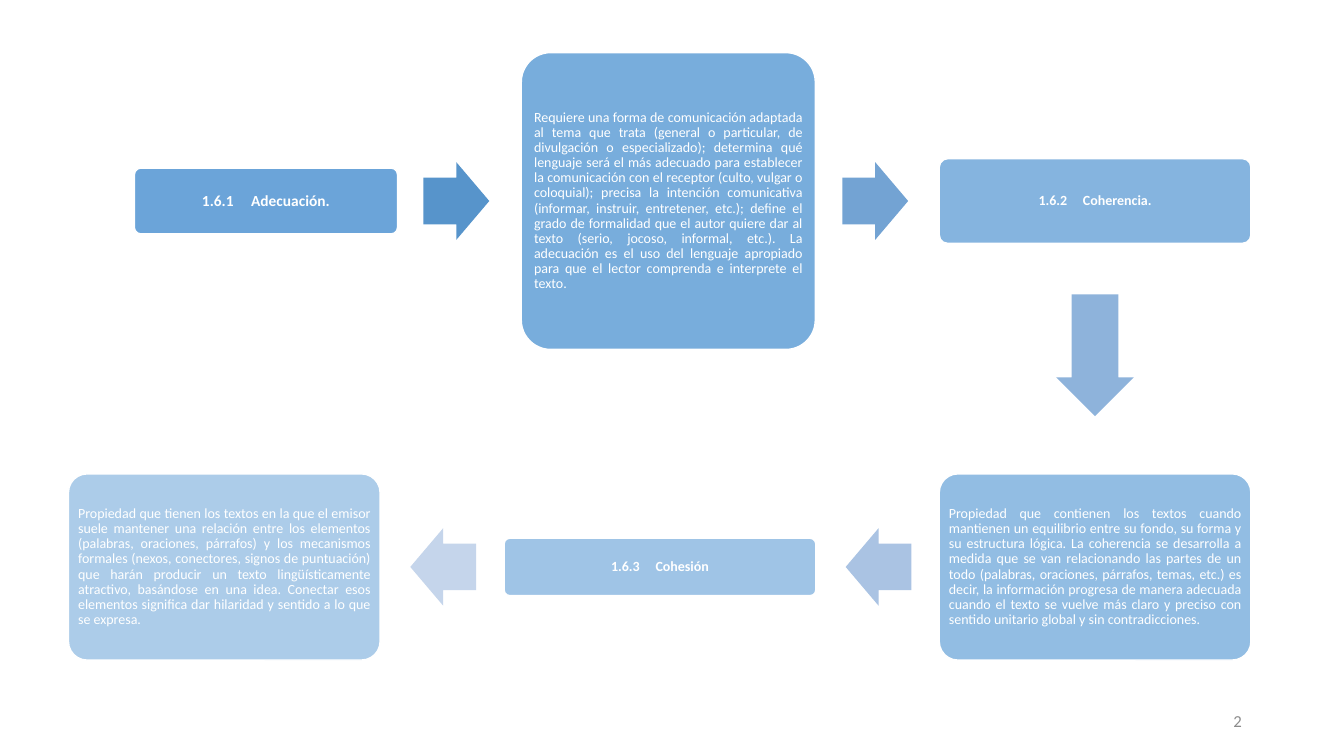
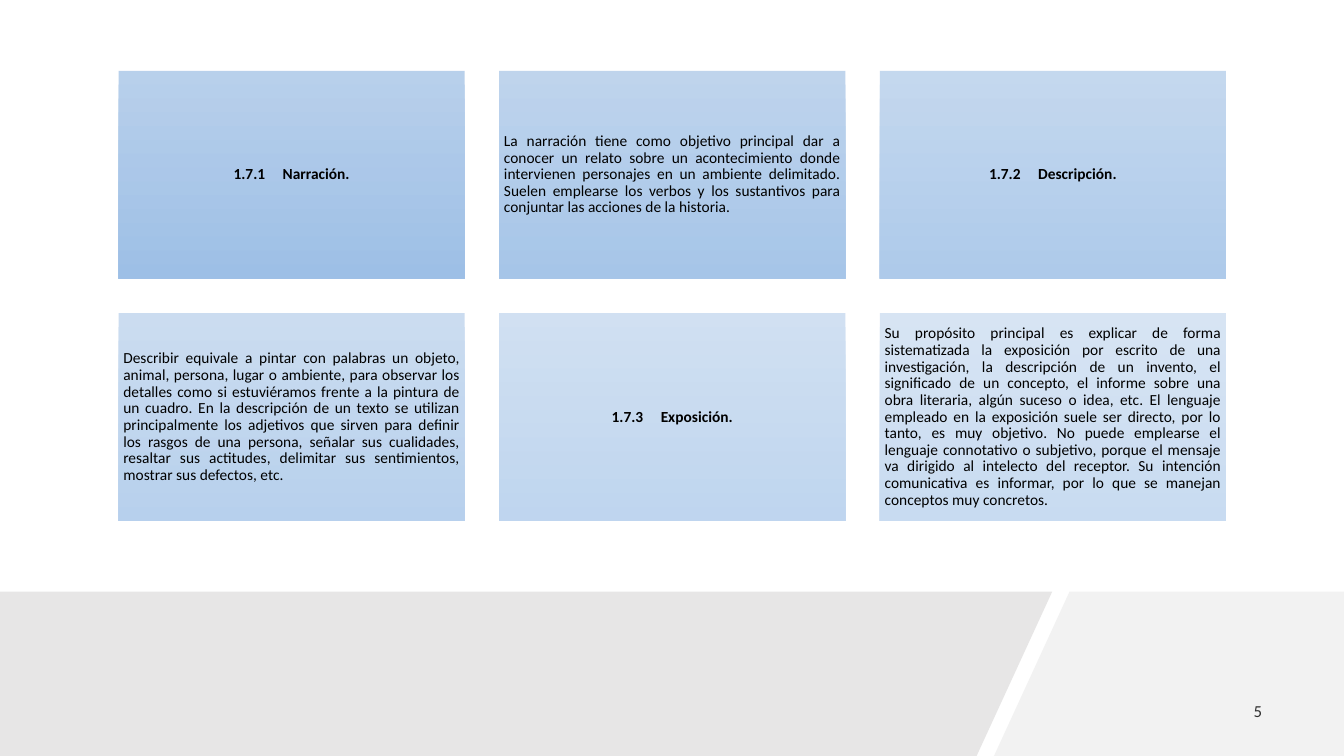
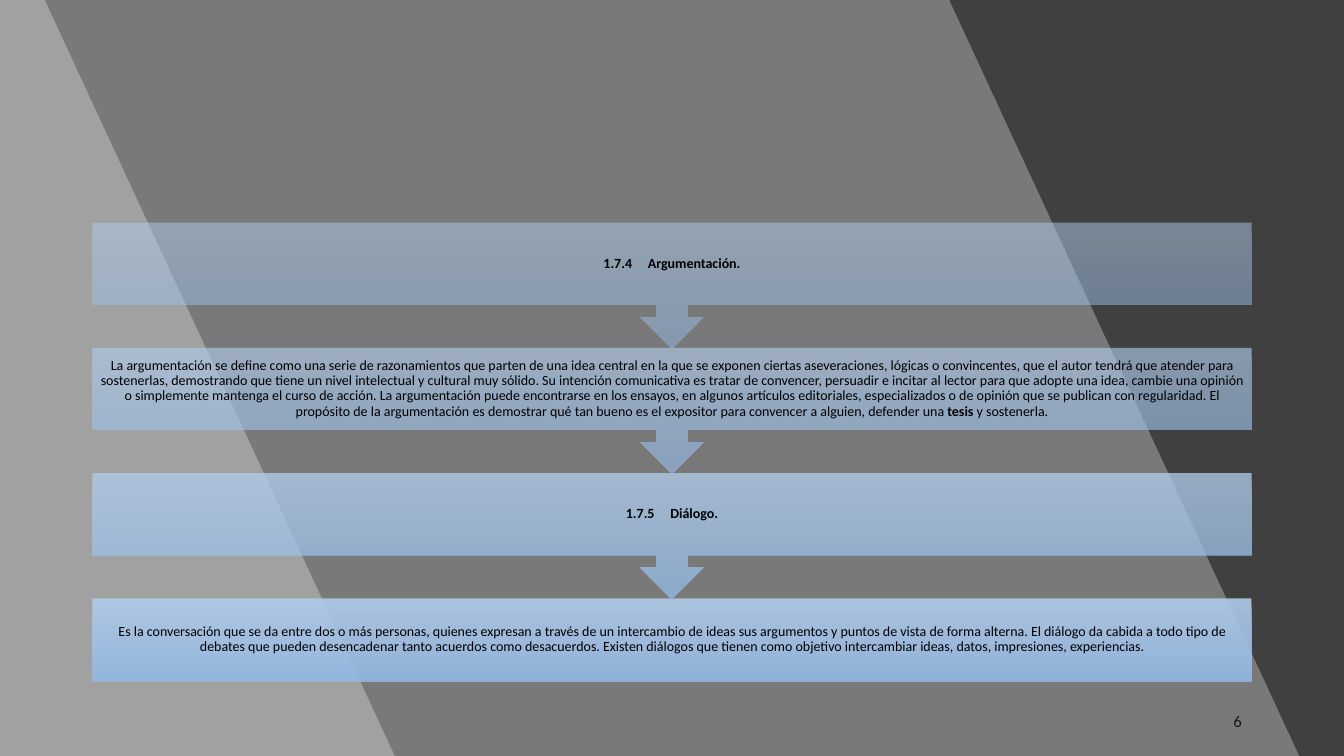
"""Builds three slides on the properties and the types of texts."""
from lxml import etree
from pptx import Presentation
from pptx.dml.color import RGBColor
from pptx.enum.shapes import MSO_SHAPE
from pptx.enum.text import MSO_ANCHOR, PP_ALIGN
from pptx.oxml.ns import qn
from pptx.util import Pt

RECT = MSO_SHAPE.RECTANGLE
ROUNDED = MSO_SHAPE.ROUNDED_RECTANGLE
CALLOUT = MSO_SHAPE.DOWN_ARROW_CALLOUT
RIGHT, LEFT, DOWN = MSO_SHAPE.RIGHT_ARROW, MSO_SHAPE.LEFT_ARROW, MSO_SHAPE.DOWN_ARROW
MIDDLE = MSO_ANCHOR.MIDDLE
CENTER, JUSTIFY, ALIGN_RIGHT = PP_ALIGN.CENTER, PP_ALIGN.JUSTIFY, PP_ALIGN.RIGHT

WIDTH, HEIGHT = 960, 540
FONT = "Calibri"
WHITE, BLACK, GREY = "FFFFFF", "000000", "8C8C8C"
BLUE, GRADIENT = "5B9BD5", ("B1CBE9", "93B9E4")

PROPERTIES = [
    "1.6.1 Adecuación.",
    "Requiere una forma de comunicación adaptada al tema que trata (general o particular, de "
    "divulgación o especializado); determina qué lenguaje será el más adecuado para establecer "
    "la comunicación con el receptor (culto, vulgar o coloquial); precisa la intención "
    "comunicativa (informar, instruir, entretener, etc.); define el grado de formalidad que el "
    "autor quiere dar al texto (serio, jocoso, informal, etc.). La adecuación es el uso del "
    "lenguaje apropiado para que el lector comprenda e interprete el texto.",
    "1.6.2 Coherencia.",
    "Propiedad que contienen los textos cuando mantienen un equilibrio entre su fondo, su forma "
    "y su estructura lógica. La coherencia se desarrolla a medida que se van relacionando las "
    "partes de un todo (palabras, oraciones, párrafos, temas, etc.) es decir, la información "
    "progresa de manera adecuada cuando el texto se vuelve más claro y preciso con sentido "
    "unitario global y sin contradicciones.",
    "1.6.3 Cohesión",
    "Propiedad que tienen los textos en la que el emisor suele mantener una relación entre los "
    "elementos (palabras, oraciones, párrafos) y los mecanismos formales (nexos, conectores, "
    "signos de puntuación) que harán producir un texto lingüísticamente atractivo, basándose en "
    "una idea. Conectar esos elementos significa dar hilaridad y sentido a lo que se expresa.",
]
TEXT_TYPES = [
    "1.7.1 Narración.",
    "La narración tiene como objetivo principal dar a conocer un relato sobre un acontecimiento "
    "donde intervienen personajes en un ambiente delimitado. Suelen emplearse los verbos y los "
    "sustantivos para conjuntar las acciones de la historia.",
    "1.7.2 Descripción.",
    "Describir equivale a pintar con palabras un objeto, animal, persona, lugar o ambiente, para "
    "observar los detalles como si estuviéramos frente a la pintura de un cuadro. En la "
    "descripción de un texto se utilizan principalmente los adjetivos que sirven para definir "
    "los rasgos de una persona, señalar sus cualidades, resaltar sus actitudes, delimitar sus "
    "sentimientos, mostrar sus defectos, etc.",
    "1.7.3 Exposición.",
    "Su propósito principal es explicar de forma sistematizada la exposición por escrito de una "
    "investigación, la descripción de un invento, el significado de un concepto, el informe "
    "sobre una obra literaria, algún suceso o idea, etc. El lenguaje empleado en la exposición "
    "suele ser directo, por lo tanto, es muy objetivo. No puede emplearse el lenguaje "
    "connotativo o subjetivo, porque el mensaje va dirigido al intelecto del receptor. Su "
    "intención comunicativa es informar, por lo que se manejan conceptos muy concretos.",
]
DEBATE_TYPES = [
    "1.7.4 Argumentación.",
    "La argumentación se define como una serie de razonamientos que parten de una idea central "
    "en la que se exponen ciertas aseveraciones, lógicas o convincentes, que el autor tendrá que "
    "atender para sostenerlas, demostrando que tiene un nivel intelectual y cultural muy sólido. "
    "Su intención comunicativa es tratar de convencer, persuadir e incitar al lector para que "
    "adopte una idea, cambie una opinión o simplemente mantenga el curso de acción. La "
    "argumentación puede encontrarse en los ensayos, en algunos artículos editoriales, "
    "especializados o de opinión que se publican con regularidad. El propósito de la "
    "argumentación es demostrar qué tan bueno es el expositor para convencer a alguien, defender "
    "una **tesis **y sostenerla.",
    "1.7.5 Diálogo.",
    "Es la conversación que se da entre dos o más personas, quienes expresan a través de un "
    "intercambio de ideas sus argumentos y puntos de vista de forma alterna. El diálogo da "
    "cabida a todo tipo de debates que pueden desencadenar tanto acuerdos como desacuerdos. "
    "Existen diálogos que tienen como objetivo intercambiar ideas, datos, impresiones, "
    "experiencias.",
]


def rgb(color):
    """Turn a hex string into a colour."""
    return RGBColor.from_string(color)


def set_alpha(element, alpha):
    """Give every colour inside an element an opacity in percent."""
    for clr in element.xpath(".//a:srgbClr"):
        etree.SubElement(clr, qn("a:alpha"), val=str(round(alpha * 1000)))


def paint(sp, color, alpha=100):
    """Fill a shape with one colour, or a pair from top to bottom, without line or shadow."""
    sp.shadow.inherit = False
    if isinstance(color, tuple):
        sp.fill.gradient()
        sp.fill.gradient_angle = 270
        for stop, stop_color in zip(sp.fill.gradient_stops, color):
            stop.color.rgb = rgb(stop_color)
    else:
        sp.fill.solid()
        sp.fill.fore_color.rgb = rgb(color)
    if alpha < 100:
        set_alpha(sp._element.spPr, alpha)
    sp.line.fill.background()


def add_shape(s, kind, left, top, width, height, color, alpha=100):
    """Add a painted preset shape."""
    sp = s.shapes.add_shape(kind, Pt(left), Pt(top), Pt(width), Pt(height))
    paint(sp, color, alpha)
    return sp


def add_polygon(s, points, color, alpha=100):
    """Add a painted closed outline."""
    corners = [(Pt(x), Pt(y)) for x, y in points]
    builder = s.shapes.build_freeform(*corners[0])
    builder.add_line_segments(corners[1:], close=True)
    paint(builder.convert_to_shape(), color, alpha)


def set_font(p, size, color, bold=False):
    """Set the font of a whole paragraph."""
    p.font.name = FONT
    p.font.size = Pt(size)
    p.font.bold = bold
    p.font.color.rgb = rgb(color)


def add_heading_runs(p, text, size):
    """Write a number and a title with a widened space between them."""
    number, title = text.split(" ", 1)
    for part in (number, " ", title):
        r = p.add_run()
        r.text = part
        if part == " ":
            r._r.get_or_add_rPr().set("spc", str(size * 90))


def add_body_runs(p, text):
    """Write a text in which double asterisks enclose bold words."""
    for i, part in enumerate(text.split("**")):
        r = p.add_run()
        r.text = part
        if i % 2:
            r.font.bold = True


def write(sp, text, size, color, inset, body_align=JUSTIFY):
    """Write a numbered heading or a body text into a shape."""
    tf = sp.text_frame
    tf.word_wrap = True
    tf.vertical_anchor = MIDDLE
    tf.margin_left = tf.margin_right = tf.margin_top = tf.margin_bottom = Pt(inset)
    p = tf.paragraphs[0]
    p.line_spacing = 0.9
    is_heading = text[0].isdigit()
    p.alignment = CENTER if is_heading else body_align
    set_font(p, size, color, is_heading)
    if is_heading:
        add_heading_runs(p, text, size)
    else:
        add_body_runs(p, text)


def add_page_number(s, number, color=BLACK, alpha=80, right=894.24, top=500.4):
    """Add the page number, right aligned."""
    width = 106
    sp = s.shapes.add_textbox(Pt(right - width), Pt(top), Pt(width), Pt(28.8))
    tf = sp.text_frame
    tf.word_wrap = True
    tf.vertical_anchor = MIDDLE
    p = tf.paragraphs[0]
    p.text = str(number)
    p.alignment = ALIGN_RIGHT
    set_font(p, 12, color)
    if alpha < 100:
        set_alpha(p._p, alpha)


def build_properties(s):
    """Draw the winding flow of the text properties."""
    upper, lower = 143.6, 405
    boxes = [
        (190, upper, 188, 47), (477.4, upper, 210, 212), (782.2, upper, 222.6, 60.5),
        (782.2, lower, 222.6, 133), (471.4, lower, 222.6, 41), (160.2, lower, 222.6, 133),
    ]
    for i, ((x, y, w, h), text) in enumerate(zip(boxes, PROPERTIES)):
        sp = add_shape(s, ROUNDED, x - w / 2, y - h / 2, w, h, BLUE, 90 - 8 * i)
        sp.adjustments[0] = 0.1
        sp.line.color.rgb = rgb(WHITE)
        sp.line.width = Pt(1)
        write(sp, text, 10 if i else 11, WHITE, 3)
    arrows = [
        (RIGHT, 326, upper, 47, 55.4, "5794CB"), (RIGHT, 625.2, upper, 47, 55.4, "73A3D3"),
        (DOWN, 782.2, 253.8, 55.4, 87, "8EB3DB"),
        (LEFT, 627.6, lower, 47, 55.4, "AAC3E3"), (LEFT, 316.6, lower, 47, 55.4, "C5D5EB"),
    ]
    for kind, x, y, w, h, color in arrows:
        sp = add_shape(s, kind, x - w / 2, y - h / 2, w, h, color)
        sp.adjustments[0], sp.adjustments[1] = 0.6, 0.5
    add_page_number(s, 2, GREY, 100)


def build_text_types(s):
    """Draw the grid of text types above a slanted band."""
    top = 422.6
    add_polygon(s, [(764, top), (WIDTH, top), (WIDTH, HEIGHT), (710, HEIGHT)], "F2F2F2")
    add_polygon(s, [(0, top), (751.6, top), (697.6, HEIGHT), (0, HEIGHT)], "E7E6E6")
    w, h, gap = 247.2, 148.4, 24.7
    for i, text in enumerate(TEXT_TYPES):
        row, column = divmod(i, 3)
        sp = add_shape(s, RECT, 84.7 + column * (w + gap), 50.6 + row * (h + gap), w, h,
                       GRADIENT, 90 - 8 * i)
        write(sp, text, 11, BLACK, 3.4)
    add_page_number(s, 5, right=908.6, top=493.2)


def build_debate_types(s):
    """Draw the stack of callouts over slanted grey bands."""
    add_shape(s, RECT, 0, 0, WIDTH, HEIGHT, "404040")
    for upper, lower in [(678, 928), (32, 282)]:
        add_polygon(s, [(0, 0), (upper, 0), (lower, HEIGHT), (0, HEIGHT)], WHITE, 30)
    last = len(DEBATE_TYPES) - 1
    for i, text in reversed(list(enumerate(DEBATE_TYPES))):
        kind, height = (RECT, 59) if i == last else (CALLOUT, 90)
        sp = add_shape(s, kind, 66, 159 + 89.5 * i, 828, height, GRADIENT, 50 + 40 * i / last)
        write(sp, text, 10, BLACK, 5.6, CENTER)
    add_page_number(s, 6)


def main():
    """Build and save the presentation."""
    prs = Presentation()
    prs.slide_width, prs.slide_height = Pt(WIDTH), Pt(HEIGHT)
    for build in (build_properties, build_text_types, build_debate_types):
        build(prs.slides.add_slide(prs.slide_layouts[6]))
    prs.save("out.pptx")


if __name__ == "__main__":
    main()
